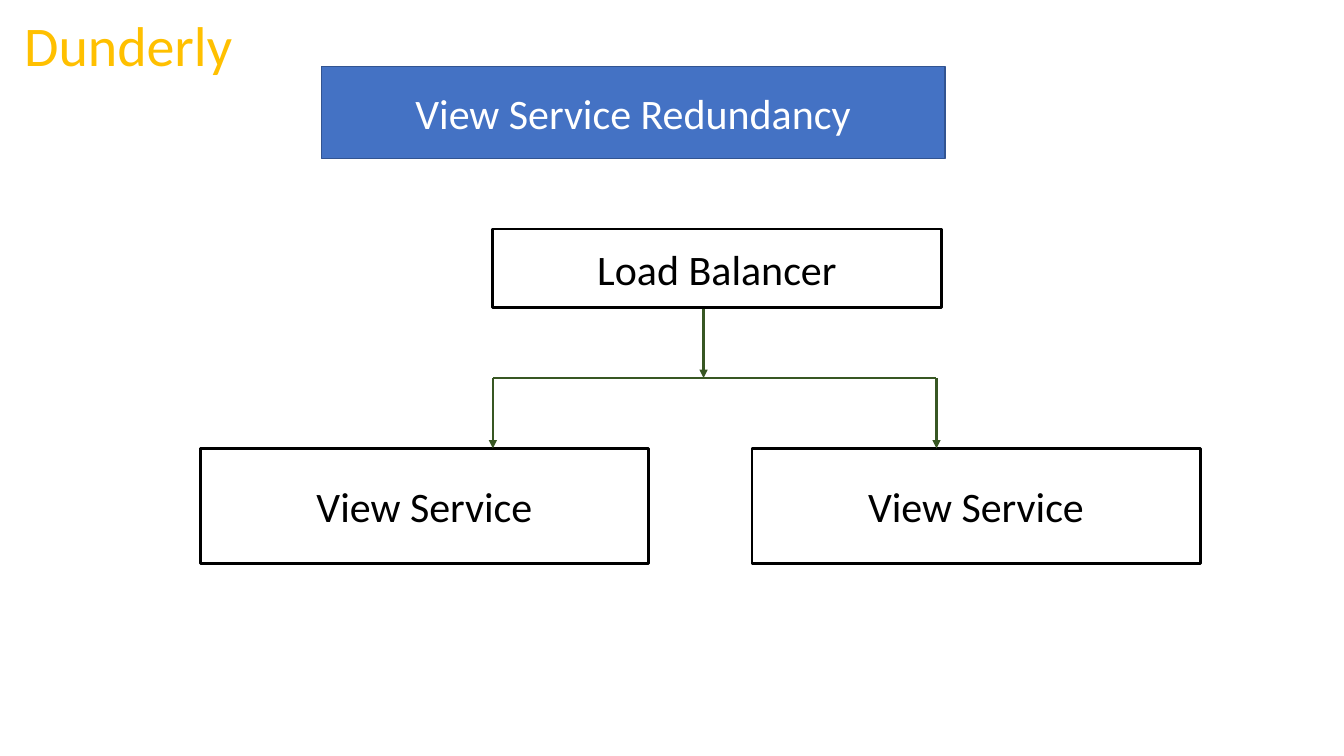
from lxml import etree
from pptx import Presentation
from pptx.dml.color import RGBColor
from pptx.enum.shapes import MSO_CONNECTOR, MSO_SHAPE
from pptx.enum.text import MSO_ANCHOR, PP_ALIGN
from pptx.oxml.ns import qn
from pptx.util import Cm, Pt

RECTANGLE = MSO_SHAPE.RECTANGLE
STRAIGHT = MSO_CONNECTOR.STRAIGHT
MIDDLE = MSO_ANCHOR.MIDDLE
CENTER = PP_ALIGN.CENTER
LEFT = PP_ALIGN.LEFT

FONT = "Calibri"
BLACK = "000000"
WHITE = "FFFFFF"
BLUE = "4472C4"
DARK_BLUE = "325491"
GREEN = "385723"
GOLD = "FFC000"


def color(value):
    """Turn a hex string into a colour."""
    return RGBColor.from_string(value)


def write(text_frame, text, size, text_color, alignment):
    """Write one line of text into a text frame."""
    text_frame.word_wrap = True
    paragraph = text_frame.paragraphs[0]
    paragraph.alignment = alignment
    run = paragraph.add_run()
    run.text = text
    run.font.name = FONT
    run.font.size = Pt(size)
    run.font.color.rgb = color(text_color)


def add_box(slide, box, text, line_color=BLACK, line_width=2, fill=None, text_color=BLACK):
    """Add a rectangle with centred text."""
    shape = slide.shapes.add_shape(RECTANGLE, *map(Cm, box))
    shape.shadow.inherit = False
    if fill:
        shape.fill.solid()
        shape.fill.fore_color.rgb = color(fill)
    else:
        shape.fill.background()
    shape.line.color.rgb = color(line_color)
    shape.line.width = Pt(line_width)
    shape.text_frame.vertical_anchor = MIDDLE
    write(shape.text_frame, text, 30, text_color, CENTER)


def add_line(slide, start, end, arrow=True):
    """Add a green line, with an arrowhead at its end if wanted."""
    connector = slide.shapes.add_connector(STRAIGHT, *map(Cm, start + end))
    connector.line.color.rgb = color(GREEN)
    connector.line.width = Pt(1.5)
    if arrow:
        etree.SubElement(connector.line._get_or_add_ln(), qn("a:tailEnd"), type="triangle")
    etree.SubElement(connector._element.spPr, qn("a:effectLst"))


def add_brand(slide, box):
    """Add the product name in the corner."""
    text_box = slide.shapes.add_textbox(*map(Cm, box))
    write(text_box.text_frame, "Dunderly", 40, GOLD, LEFT)


def add_title(slide, box):
    """Add the title banner."""
    add_box(slide, box, "View Service Redundancy", DARK_BLUE, 1, BLUE, WHITE)


def add_diagram(slide, box):
    """Add the load balancer and the two services it feeds."""
    left, top, width, height = box
    node_width, balancer_height, service_height = 11.3, 1.98, 2.9
    balancer_left = left + 7.37
    balancer_bottom = top + balancer_height
    service_top = top + height - service_height
    branch_y = (balancer_bottom + service_top) / 2
    stem_x = left + 12.68
    branch_left, branch_right = balancer_left, left + 18.55

    for service_left in (left, left + width - node_width):
        add_box(slide, (service_left, service_top, node_width, service_height), "View Service")
    for branch_x in (branch_left, branch_right):
        add_line(slide, (branch_x, branch_y), (branch_x, service_top))
    add_line(slide, (stem_x, balancer_bottom), (stem_x, branch_y))
    add_line(slide, (branch_left, branch_y), (branch_right, branch_y), arrow=False)
    add_box(slide, (balancer_left, top, node_width, balancer_height), "Load Balancer")


def main():
    """Build the slide and save it."""
    presentation = Presentation()
    presentation.slide_width = Cm(33.87)
    presentation.slide_height = Cm(19.05)
    slide = presentation.slides.add_slide(presentation.slide_layouts[6])
    add_title(slide, (8.1, 1.68, 15.72, 2.31))
    add_brand(slide, (0.36, 0.15, 6.99, 1.96))
    add_diagram(slide, (5.05, 5.77, 25.2, 8.43))
    presentation.save("out.pptx")


if __name__ == "__main__":
    main()
